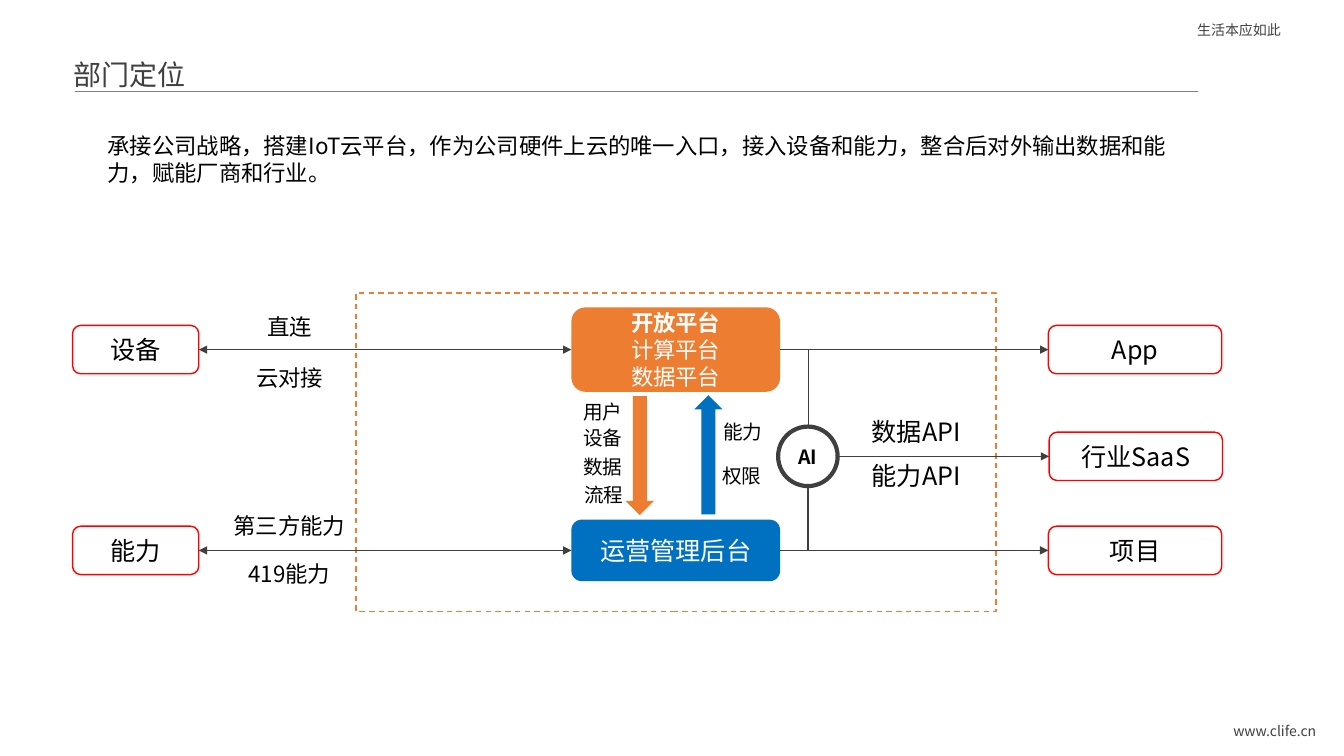
"""Build the department positioning slide with its platform diagram."""
from dataclasses import dataclass

import pptx
import pptx.dml.color
import pptx.enum.dml
import pptx.enum.shapes
import pptx.enum.text
import pptx.oxml
import pptx.oxml.ns
import pptx.util

Cm = pptx.util.Cm
Pt = pptx.util.Pt
Shape = pptx.enum.shapes.MSO_SHAPE
Connector = pptx.enum.shapes.MSO_CONNECTOR
Align = pptx.enum.text.PP_ALIGN
Anchor = pptx.enum.text.MSO_ANCHOR
qn = pptx.oxml.ns.qn

FONT = "Noto Sans CJK SC"
BLACK, WHITE, DARK, GREY = "000000", "FFFFFF", "404040", "808080"
RED, ORANGE, BLUE, INK = "FF0000", "ED7D31", "0070C0", "3F3F3F"
UPPER, MIDDLE, LOWER = 8.81, 11.5, 13.87
AI_X, AI_R = 20.36, 0.75
PLATFORM_RIGHT, OUTPUT_LEFT = 19.66, 26.42


@dataclass
class Label:
    text: str
    x: float
    y: float
    w: float
    h: float
    size: int
    color: str = BLACK
    align: Align = Align.CENTER


@dataclass
class Node:
    text: str
    x: float
    cy: float
    w: float
    h: float
    fill: str = ""
    line: str = ""
    weight: float = 1
    size: int = 18
    color: str = BLACK
    bold_first: bool = False
    kind: Shape = Shape.ROUNDED_RECTANGLE
    dashed: bool = False


@dataclass
class Link:
    begin: tuple
    end: tuple
    heads: tuple = ()
    elbow: bool = False
    color: str = INK


def rgb(color: str) -> pptx.dml.color.RGBColor:
    return pptx.dml.color.RGBColor.from_string(color)


def write(tf, text: str, size: int, color: str, align: Align, bold_first: bool = False) -> None:
    for i, line in enumerate(text.split("\n")):
        p = tf.paragraphs[0] if i == 0 else tf.add_paragraph()
        p.alignment = align
        r = p.add_run()
        r.text = line
        fmt = {"name": FONT, "size": Pt(size), "bold": bold_first and i == 0}
        for key, value in fmt.items():
            setattr(r.font, key, value)
        r.font.color.rgb = rgb(color)
        ea = pptx.oxml.parse_xml(f'<a:ea {pptx.oxml.ns.nsdecls("a")} typeface="{FONT}"/>')
        r.font._element.append(ea)


def draw_title(s, title: Label) -> None:
    sp = s.shapes.title
    sp.left, sp.top, sp.width, sp.height = map(Cm, (title.x, title.y, title.w, title.h))
    tf = sp.text_frame
    fmt = {"auto_size": pptx.enum.text.MSO_AUTO_SIZE.NONE, "vertical_anchor": Anchor.MIDDLE}
    for key, value in fmt.items():
        setattr(tf, key, value)
    write(tf, title.text, title.size, title.color, title.align)


def draw_label(s, label: Label) -> None:
    sp = s.shapes.add_textbox(*map(Cm, (label.x, label.y, label.w, label.h)))
    sp.text_frame.word_wrap = True
    write(sp.text_frame, label.text, label.size, label.color, label.align)


def draw_node(s, node: Node):
    sp = s.shapes.add_shape(node.kind, *map(Cm, (node.x, node.cy - node.h / 2, node.w, node.h)))
    sp.shadow.inherit = False
    if node.fill:
        sp.fill.solid()
        sp.fill.fore_color.rgb = rgb(node.fill)
    else:
        sp.fill.background()
    if node.line:
        sp.line.color.rgb = rgb(node.line)
        sp.line.width = Pt(node.weight)
    else:
        sp.line.fill.background()
    if node.dashed:
        sp.line.dash_style = pptx.enum.dml.MSO_LINE.DASH
    if node.text:
        tf = sp.text_frame
        fmt = {"word_wrap": node.kind != Shape.OVAL, "vertical_anchor": Anchor.MIDDLE}
        for key, value in fmt.items():
            setattr(tf, key, value)
        write(tf, node.text, node.size, node.color, Align.CENTER, node.bold_first)
    return sp


def draw_link(s, link: Link, nodes: dict) -> None:
    begin, end = ((0, 0) if isinstance(at[0], str) else at for at in (link.begin, link.end))
    kind = Connector.ELBOW if link.elbow else Connector.STRAIGHT
    c = s.shapes.add_connector(kind, *map(Cm, (*begin, *end)))
    for at, join in ((link.begin, c.begin_connect), (link.end, c.end_connect)):
        if isinstance(at[0], str):
            join(nodes[at[0]], at[1])
    c.line.color.rgb = rgb(link.color)
    c.line.width = Pt(0.5)
    sp_pr = c._element.spPr
    if link.elbow:
        sp_pr.find(qn("a:prstGeom")).set("prst", "bentConnector2")
    ln = sp_pr.find(qn("a:ln"))
    for head in link.heads:
        ln.append(ln.makeelement(qn(f"a:{head}"), {"type": "triangle"}))
    sp_pr.append(sp_pr.makeelement(qn("a:effectLst"), {}))


TITLE = Label("部门定位", 1.6, 0.94, 18.11, 1.85, 20, DARK, Align.LEFT)
LABELS = [
    Label("生活本应如此", 29.92, 0.43, 3.5, 0.68, 10, DARK, Align.JUSTIFY),
    Label("www.clife.cn", 29.92, 18.08, 3.5, 0.68, 10, DARK, Align.RIGHT),
    Label("承接公司战略，搭建IoT云平台，作为公司硬件上云的唯一入口，接入设备和能力，"
          "整合后对外输出数据和能力，赋能厂商和行业。", 2.46, 3.2, 27.3, 1.62, 16, BLACK, Align.LEFT),
    Label("数据API", 21.49, 10.36, 3.2, 1.02, 18),
    Label("能力API", 21.49, 11.48, 3.2, 1.02, 18),
    Label("直连", 6.2, 7.77, 2.21, 0.94, 16),
    Label("云对接", 6.2, 9.04, 2.21, 0.94, 16),
    Label("第三方能力", 5.59, 12.78, 3.4, 0.94, 16),
    Label("419能力", 5.59, 14, 3.4, 0.94, 16),
    Label("用户", 14.3, 9.96, 1.78, 0.86, 14),
    Label("设备", 14.3, 10.62, 1.78, 0.86, 14),
    Label("数据", 14.3, 11.33, 1.78, 0.86, 14),
    Label("流程", 14.33, 12.04, 1.78, 0.86, 14),
    Label("能力", 17.83, 10.46, 1.78, 0.86, 14),
    Label("权限", 17.81, 11.56, 1.78, 0.86, 14),
]
NODES = {
    "frame": Node("", 8.97, 11.4, 16.13, 8.03, line=ORANGE, kind=Shape.RECTANGLE, dashed=True),
    "device": Node("设备", 1.83, UPPER, 3.18, 1.22, line=RED),
    "ability": Node("能力", 1.83, LOWER, 3.18, 1.22, line=RED),
    "platform": Node("开放平台\n计算平台\n数据平台", 14.4, UPPER, 5.26, 2.13, fill=ORANGE,
                     size=16, color=WHITE, bold_first=True),
    "backend": Node("运营管理后台", 14.4, LOWER, 5.26, 1.55, fill=BLUE, color=WHITE),
    "down": Node("", 15.77, 11.48, 0.71, 3, fill=ORANGE, kind=Shape.DOWN_ARROW),
    "up": Node("", 17.5, 11.46, 0.71, 3, fill=BLUE, kind=Shape.UP_ARROW),
    "app": Node("App", OUTPUT_LEFT, UPPER, 4.37, 1.22, line=RED),
    "saas": Node("行业SaaS", 26.44, MIDDLE, 4.37, 1.22, line=RED),
    "project": Node("项目", OUTPUT_LEFT, LOWER, 4.37, 1.22, line=RED),
    "ai": Node("AI", AI_X - AI_R, MIDDLE, 2 * AI_R, 2 * AI_R, line=INK, weight=3, size=14,
               bold_first=True, kind=Shape.OVAL),
}
AI_TOP, AI_BOTTOM = (AI_X, MIDDLE - AI_R), (AI_X, MIDDLE + AI_R)
BOTH = ("headEnd", "tailEnd")
LINKS = [
    Link((1.88, 2.31), (30.2, 2.31), color=GREY),
    Link(("device", 3), ("platform", 1), BOTH),
    Link(("ability", 3), ("backend", 1), BOTH),
    Link(("platform", 3), ("app", 1), ("tailEnd",)),
    Link((AI_X + AI_R, MIDDLE), ("saas", 1), ("tailEnd",)),
    Link((PLATFORM_RIGHT, UPPER), AI_TOP, elbow=True),
    Link((PLATFORM_RIGHT, LOWER), AI_BOTTOM, elbow=True),
    Link((OUTPUT_LEFT, LOWER), AI_BOTTOM, ("headEnd",), elbow=True),
]


def main() -> None:
    prs = pptx.Presentation()
    prs.slide_width, prs.slide_height = Cm(33.87), Cm(19.05)
    s = prs.slides.add_slide(prs.slide_layouts[5])
    draw_title(s, TITLE)
    nodes = {name: draw_node(s, node) for name, node in NODES.items()}
    for label in LABELS:
        draw_label(s, label)
    for link in LINKS:
        draw_link(s, link, nodes)
    prs.save("out.pptx")


if __name__ == "__main__":
    main()
